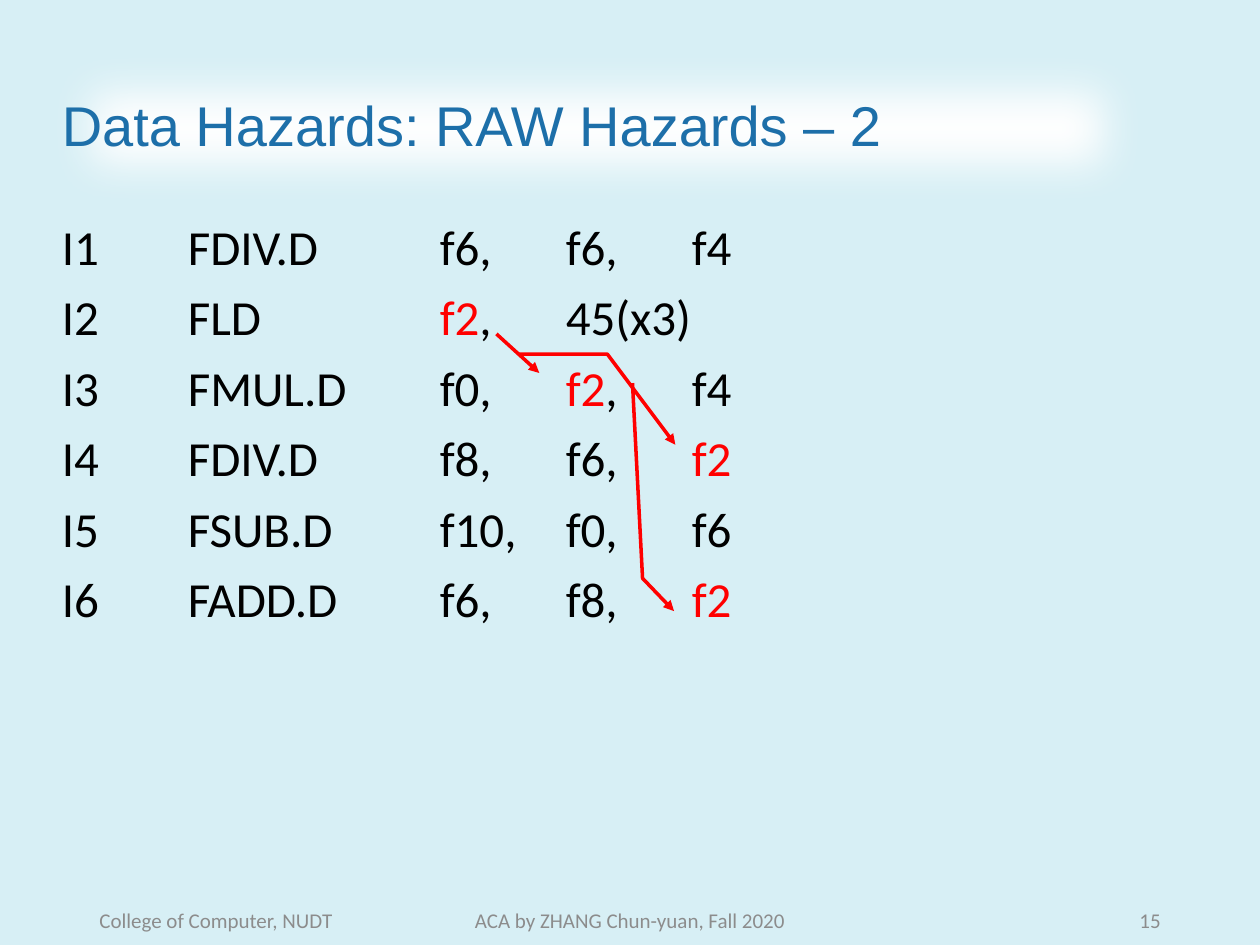
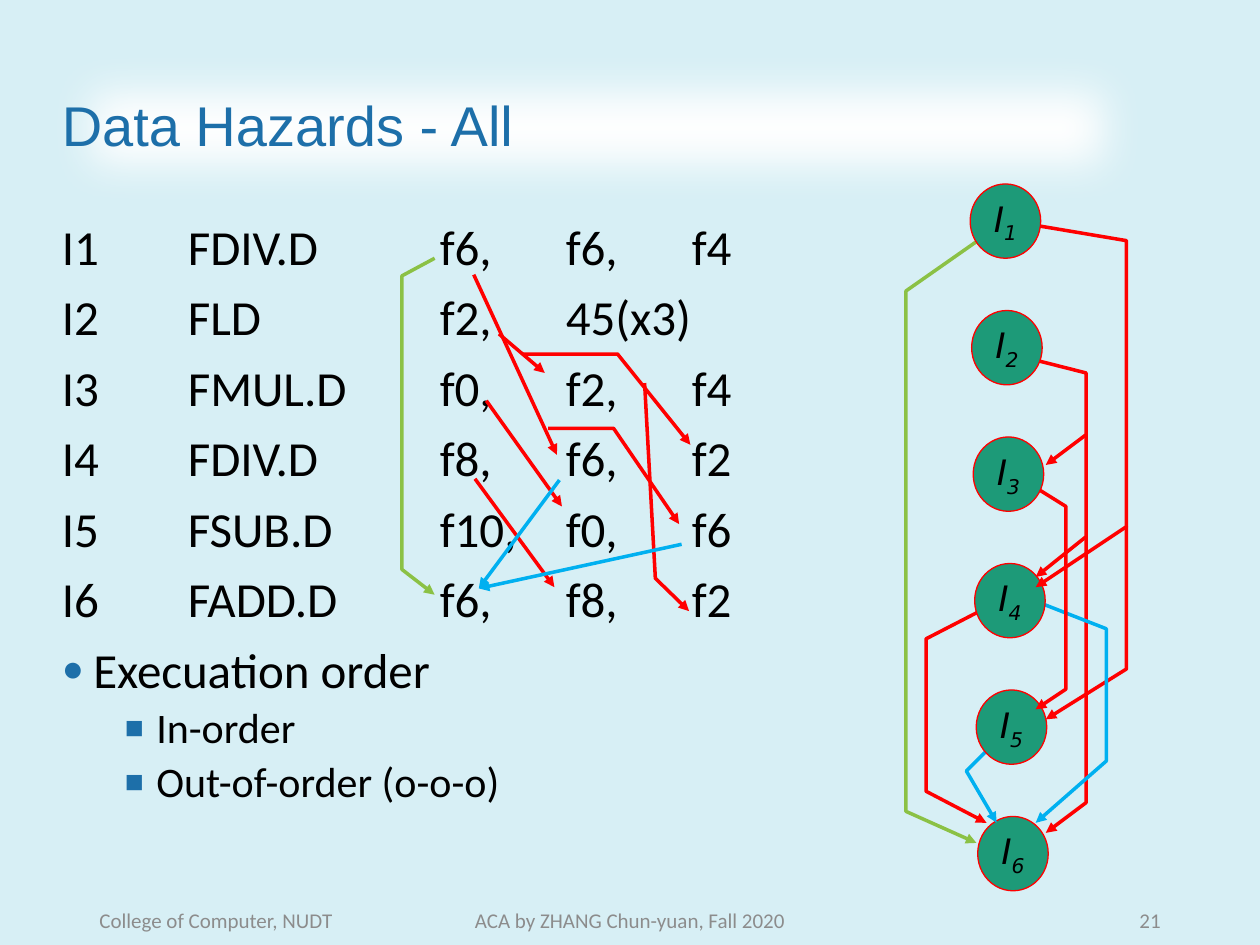
from dataclasses import dataclass
from lxml.etree import SubElement
from pptx import Presentation
from pptx.dml.color import RGBColor
from pptx.enum.shapes import MSO_CONNECTOR, MSO_SHAPE
from pptx.enum.text import MSO_ANCHOR, MSO_AUTO_SIZE, PP_ALIGN
from pptx.oxml.ns import qn
from pptx.util import Inches, Pt


@dataclass(frozen=True)
class Theme:
    back: str = "D7EFF5"
    white: str = "FFFFFF"
    blue: str = "1D6FA9"
    black: str = "000000"
    grey: str = "8C8C8C"
    node: str = "1D9A78"
    red: str = "FF0000"
    sky: str = "00B0F0"
    green: str = "8BC145"
    head: str = "Arial"
    body: str = "Calibri"
    math: str = "DejaVu Sans"
    title: int = 32
    code: int = 28
    sub: int = 24
    label: int = 20
    foot: int = 12


T = Theme()

# Cells stand one tab apart; a short name needs an empty cell after it
CODE = [
    ("I1", "FDIV.D", "f6,", "f6,", "f4"),
    ("I2", "FLD", "", "f2,", "45(x3)"),
    ("I3", "FMUL.D", "f0,", "f2,", "f4"),
    ("I4", "FDIV.D", "f8,", "f6,", "f2"),
    ("I5", "FSUB.D", "f10,", "f0,", "f6"),
    ("I6", "FADD.D", "f6,", "f8,", "f2"),
]
TAB = str(Inches(1))
ORDER = [(0, "Execuation order"), (1, "In-order"), (1, "Out-of-order (o-o-o)")]
BULLETS = {  # level: mark, indent, size, space before
    0: ("●", 0.25, T.code, 10),
    1: ("■", 0.75, T.sub, 5),
}
FOOT = [
    (0.69, 2.25, PP_ALIGN.LEFT, "College of Computer, NUDT"),
    (3.31, 3.38, PP_ALIGN.CENTER, "ACA by ZHANG Chun-yuan, Fall 2020"),
]
PAGE = (7.06, 2.25, PP_ALIGN.RIGHT)

# Uses of f2 after its load, then the other hazards
F2_CELLS = {(1, 3), (2, 3), (3, 4), (5, 4)}
F2_WIRES = [
    [(3.94, 2.65), (4.28, 2.96)],
    [(4.11, 2.81), (4.82, 2.81), (5.36, 3.53)],
    [(5.02, 3.04), (5.1, 4.59), (5.35, 4.85)],
]
F6_WIRES = [
    (T.red, [(3.76, 2.18), (4.42, 3.61)]),
    (T.red, [(4.35, 3.4), (4.87, 3.4), (5.39, 4.16)]),
]
REST = [
    (T.red, [(3.86, 3.18), (4.46, 4.02)]),
    (T.red, [(3.77, 3.8), (4.4, 4.66)]),
    (T.sky, [(4.44, 3.81), (3.8, 4.67)]),
    (T.sky, [(5.41, 4.32), (3.8, 4.67)]),
    (T.green, [(3.45, 2.05), (3.19, 2.19), (3.19, 4.52), (3.45, 4.72)]),
]

# Dependence graph from back to front: a number is a node, a pair is a wire
GRAPH = [
    6,
    (T.red, [(8.94, 4.18), (8.94, 5.31), (8.3, 5.71)]),
    (T.red, [(7.99, 2.8), (8.62, 2.96), (8.62, 3.45), (8.3, 3.69)]),
    (T.red, [(8.62, 3.45), (8.62, 4.26), (8.22, 4.58)]),
    (T.red, [(8.62, 4.26), (8.62, 6.37), (8.3, 6.61)]),
    2,
    (T.sky, [(8.14, 4.74), (8.78, 4.99), (8.78, 6.04), (8.22, 6.53)]),
    (T.green, [(7.99, 1.75), (7.19, 2.31), (7.19, 6.44), (7.75, 6.69)]),
    (T.red, [(7.99, 4.74), (7.35, 5.07), (7.35, 6.28), (7.83, 6.53)]),
    4,
    (T.red, [(7.99, 1.75), (8.94, 1.91), (8.94, 4.18), (8.22, 4.66)]),
    1,
    (T.sky, [(7.83, 5.96), (7.67, 6.12), (7.91, 6.53)]),
    5,
    (T.red, [(8.06, 3.77), (8.46, 4.02), (8.46, 5.47), (8.22, 5.63)]),
    3,
]


def rgb(code):
    return RGBColor.from_string(code)


def add(node, tag, **attrs):
    return SubElement(node, qn(tag), attrs)


def put(para, text, font=T.body, size=T.code, color=T.black, italic=None, base=None):
    """Add one formatted run to a paragraph."""
    run = para.add_run()
    run.text = text
    run.font.name = font
    run.font.size = Pt(size)
    run.font.color.rgb = rgb(color)
    run.font.italic = italic
    if base:
        run._r.get_or_add_rPr().set("baseline", str(base * 1000))


def place(shape, left, top, width, height):
    shape.left, shape.top = Inches(left), Inches(top)
    shape.width, shape.height = Inches(width), Inches(height)


def space(para, before, left=0.0, hang=0.0):
    """Set spacing and indents; return the properties for bullets and tabs."""
    para.line_spacing = 0.9
    para.space_before = Pt(before)
    props = para._p.get_or_add_pPr()
    props.set("marL", str(Inches(left)))
    props.set("indent", str(Inches(-hang)))
    return props


def set_title(slide, text):
    shape = slide.shapes.title
    place(shape, 0.39, 0.4, 8.69, 1.23)
    shape.fill.solid()
    shape.fill.fore_color.rgb = rgb(T.white)
    shape.shadow.inherit = False
    glow = shape.element.spPr.find(qn("a:effectLst"))
    add(glow, "a:softEdge", rad=str(Pt(25)))
    frame = shape.text_frame
    frame.auto_size = MSO_AUTO_SIZE.NONE
    frame.vertical_anchor = MSO_ANCHOR.MIDDLE
    para = frame.paragraphs[0]
    para.alignment = PP_ALIGN.LEFT
    space(para, 0)
    put(para, text, font=T.head, size=T.title, color=T.blue)


def set_body(slide, hot, items):
    """List the code, with hot cells in red, then the bulleted items."""
    shape = slide.placeholders[1]
    place(shape, 0.39, 1.72, 9.22, 5.31)
    frame = shape.text_frame
    frame.auto_size = MSO_AUTO_SIZE.NONE
    for row, cells in enumerate(CODE):
        para = frame.add_paragraph() if row else frame.paragraphs[0]
        props = space(para, 10)
        props.set("defTabSz", TAB)
        add(props, "a:buNone")
        for col, cell in enumerate(cells):
            if col:
                put(para, "\t")
            if (row, col) in hot:
                word = cell.rstrip(",")
                put(para, word, color=T.red)
                cell = cell[len(word):]
            if cell:
                put(para, cell)
    for level, text in items:
        mark, left, size, before = BULLETS[level]
        para = frame.add_paragraph()
        para.level = level
        props = space(para, before, left, 0.25)
        add(add(props, "a:buClr"), "a:srgbClr", val=T.blue)
        add(props, "a:buSzPct", val="75000")
        add(props, "a:buFont", typeface=T.head)
        add(props, "a:buChar", char=mark)
        put(para, text, size=size)


def set_foot(slide, page):
    for left, width, align, text in FOOT + [(*PAGE, str(page))]:
        box = slide.shapes.add_textbox(0, 0, 0, 0)
        place(box, left, 7.1, width, 0.4)
        frame = box.text_frame
        frame.word_wrap = True
        frame.vertical_anchor = MSO_ANCHOR.MIDDLE
        para = frame.paragraphs[0]
        para.alignment = align
        put(para, text, size=T.foot, color=T.grey)


def wire(slide, color, points):
    """Draw an arrow through the points: a connector if straight."""
    spots = [(Inches(x), Inches(y)) for x, y in points]
    if len(spots) == 2:
        shape = slide.shapes.add_connector(MSO_CONNECTOR.STRAIGHT, *spots[0], *spots[1])
        add(shape.element.spPr, "a:effectLst")
    else:
        path = slide.shapes.build_freeform(*spots[0], scale=1.0)
        path.add_line_segments(spots[1:], close=False)
        shape = path.convert_to_shape()
        shape.fill.background()
        shape.shadow.inherit = False
    shape.line.color.rgb = rgb(color)
    shape.line.width = Pt(2)
    add(shape.element.spPr.find(qn("a:ln")), "a:tailEnd", type="triangle")


def node(slide, num):
    step = (num - 1) / 5
    shape = slide.shapes.add_shape(MSO_SHAPE.OVAL, 0, 0, 0, 0)
    place(shape, 7.7 + 0.06 * step, 1.46 + 5.02 * step, 0.56, 0.59)
    shape.shadow.inherit = False
    shape.fill.solid()
    shape.fill.fore_color.rgb = rgb(T.node)
    shape.line.color.rgb = rgb(T.red)
    shape.line.width = Pt(0.75)
    frame = shape.text_frame
    frame.word_wrap = False
    frame.vertical_anchor = MSO_ANCHOR.MIDDLE
    para = frame.paragraphs[0]
    para.alignment = PP_ALIGN.CENTER
    look = dict(font=T.math, size=T.label, italic=True)
    put(para, "I", **look)
    put(para, str(num), base=-25, **look)


def stretch(points):
    """Widen the f2 wires to leave room for the other hazards."""
    return [(3.96 + (x - 3.94) * 1.07, y) for x, y in points]


def start(deck, title, page, hot=(), items=()):
    slide = deck.slides.add_slide(deck.slide_layouts[1])
    set_title(slide, title)
    set_body(slide, hot, items)
    set_foot(slide, page)
    return slide


def main():
    deck = Presentation()
    deck.slide_width, deck.slide_height = Inches(10), Inches(7.5)
    master = deck.slide_master
    back = master.background.fill
    back.solid()
    back.fore_color.rgb = rgb(T.back)
    for style in master.element.iter(qn("a:lvl1pPr")):
        style.set("defTabSz", TAB)

    raw = start(deck, "Data Hazards: RAW Hazards – 2", 15, hot=F2_CELLS)
    for points in F2_WIRES:
        wire(raw, T.red, points)

    every = start(deck, "Data Hazards - All", 21, items=ORDER)
    wide = [(T.red, stretch(points)) for points in F2_WIRES]
    for part in F6_WIRES + wide + REST + GRAPH:
        if isinstance(part, int):
            node(every, part)
        else:
            wire(every, *part)
    deck.save("out.pptx")


if __name__ == "__main__":
    main()
